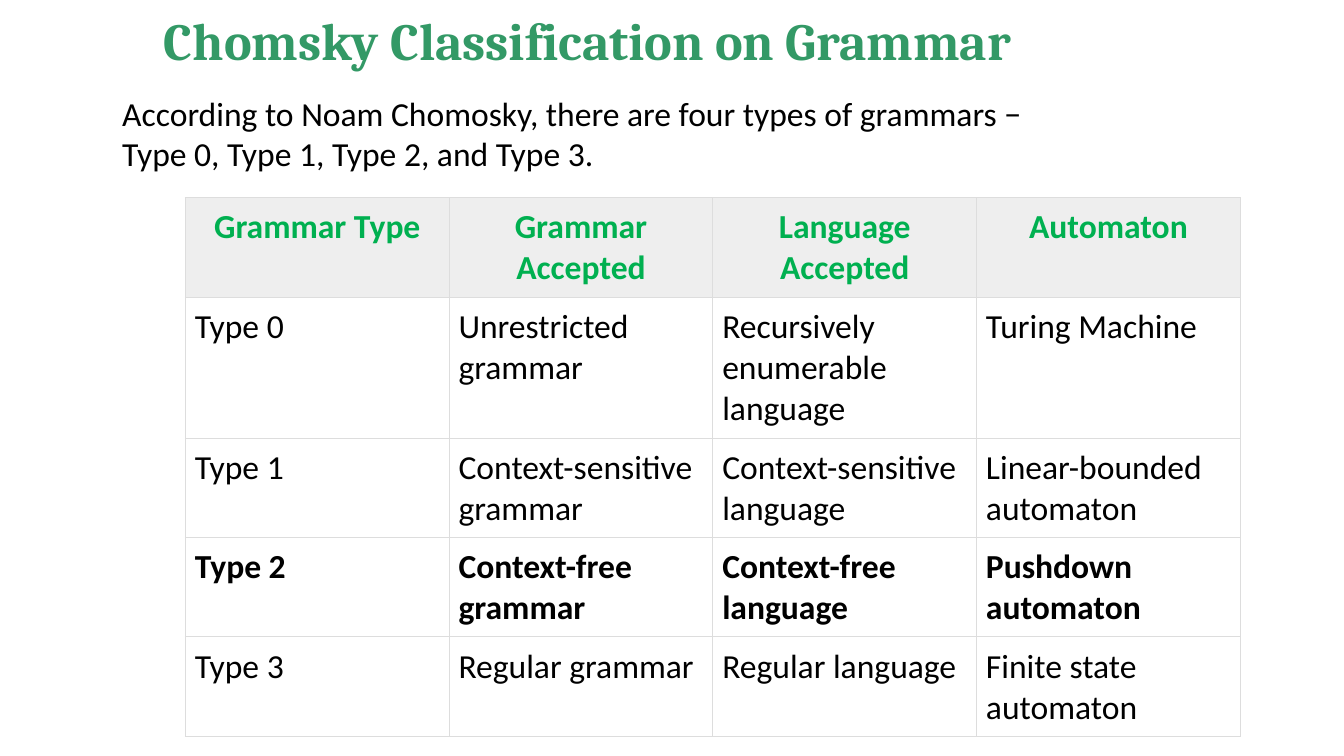
from lxml.etree import SubElement as Sub
from pptx import Presentation
from pptx.dml.color import RGBColor as Rgb
from pptx.enum.text import MSO_ANCHOR as Anchor, PP_ALIGN as Align
from pptx.oxml.ns import qn
from pptx.util import Inches, Pt

HUES = {"title": "339966", "head": "00B050", "text": "000000",
        "band": "EEEEEE", "edge": "DDDDDD"}
INTRO = ["According to Noam Chomosky, there are four types of grammars −",
         "Type 0, Type 1, Type 2, and Type 3."]
ROWS = [
    ["Grammar Type", "Grammar Accepted", "Language Accepted", "Automaton"],
    ["Type 0", "Unrestricted grammar", "Recursively enumerable language",
     "Turing Machine"],
    ["Type 1", "Context-sensitive grammar", "Context-sensitive language",
     "Linear-bounded automaton"],
    ["Type 2", "Context-free grammar", "Context-free language",
     "Pushdown automaton"],
    ["Type 3", "Regular grammar", "Regular language",
     "Finite state automaton"],
]
HIGHS = [0.74, 1.05, 0.74, 0.74, 0.74]
BOLD = (0, 3)


def style(para, size, hue, bold=False, face="Calibri", align=Align.LEFT):
    """Format a paragraph and its runs."""
    para.alignment = align
    for run in para.runs:
        font = run.font
        font.name, font.size, font.bold = face, Pt(size), bold
        font.color.rgb = Rgb.from_string(HUES[hue])


def pad(box, gap):
    """Give a frame or cell equal margins on all sides."""
    box.margin_left = box.margin_right = Inches(gap)
    box.margin_top = box.margin_bottom = Inches(gap)


def add_title(slide, text):
    """Place and format the title."""
    title = slide.shapes.title
    title.left, title.top = Inches(1.22), Inches(0.06)
    title.width, title.height = Inches(7.43), Inches(0.47)
    frame = title.text_frame
    frame.text = text
    frame.vertical_anchor = Anchor.TOP
    pad(frame, 0)
    style(frame.paragraphs[0], 28, "title", True, "Cambria")


def add_intro(slide, lines):
    """Add the opening lines, one paragraph each."""
    box = slide.shapes.add_textbox(Inches(0.91), Inches(0.69),
                                   Inches(8.66), Inches(0.91))
    frame = box.text_frame
    frame.word_wrap = True
    pad(frame, 0)
    frame.text = "\n".join(lines)
    for para in frame.paragraphs:
        style(para, 18, "text")


def add_edges(cell):
    """Draw a thin line on each side of a cell."""
    props = cell._tc.get_or_add_tcPr()
    for side in ("lnL", "lnR", "lnT", "lnB"):
        line = Sub(props, qn(f"a:{side}"), w=str(Pt(0.6)))
        fill = Sub(line, qn("a:solidFill"))
        Sub(fill, qn("a:srgbClr"), val=HUES["edge"])


def fill_cell(cell, text, head, bold):
    """Write and format one table cell."""
    cell.text = text
    pad(cell, 0.07)
    add_edges(cell)
    if head:
        cell.fill.solid()
        cell.fill.fore_color.rgb = Rgb.from_string(HUES["band"])
    else:
        cell.fill.background()
    style(cell.text_frame.paragraphs[0], 18, "head" if head else "text",
          bold, align=Align.CENTER if head else Align.LEFT)


def add_grid(slide, rows):
    """Add the table of grammar types."""
    shape = slide.shapes.add_table(len(rows), len(rows[0]),
                                   Inches(1.38), Inches(1.47),
                                   Inches(7.85), Inches(sum(HIGHS)))
    table = shape.table
    for r, row in enumerate(rows):
        table.rows[r].height = Inches(HIGHS[r])
        for c, text in enumerate(row):
            fill_cell(table.cell(r, c), text, r == 0, r in BOLD)


def main():
    """Build and save the slide."""
    deck = Presentation()
    deck.slide_width, deck.slide_height = Inches(10), Inches(10 * 9 / 16)
    slide = deck.slides.add_slide(deck.slide_layouts[5])
    add_title(slide, "Chomsky Classification on Grammar")
    add_intro(slide, INTRO)
    add_grid(slide, ROWS)
    deck.save("out.pptx")


if __name__ == "__main__":
    main()
